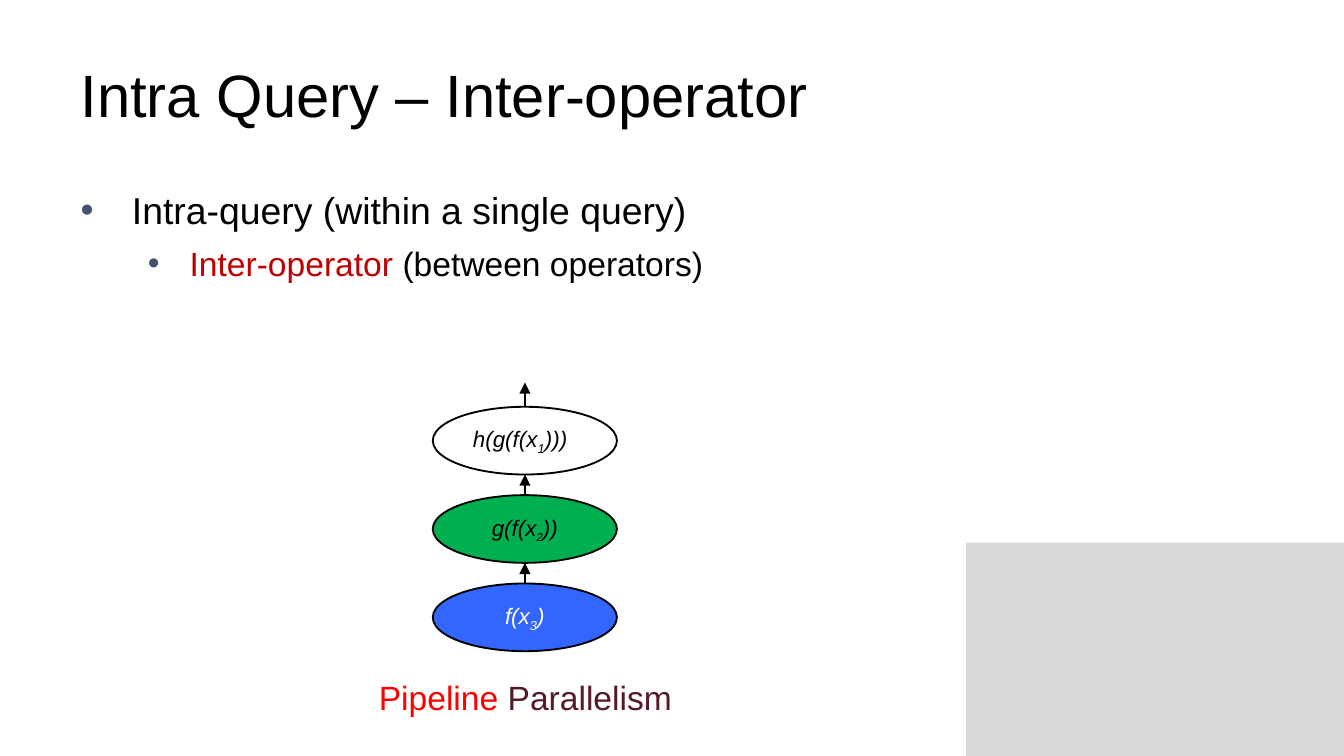
from lxml import etree
from pptx import Presentation
from pptx.dml.color import RGBColor
from pptx.enum import shapes, text
from pptx.oxml.ns import qn
from pptx.util import Cm, Pt

BLACK = RGBColor(0x00, 0x00, 0x00)
WHITE = RGBColor(0xFF, 0xFF, 0xFF)
GREY = RGBColor(0xD9, 0xD9, 0xD9)
DARK_RED = RGBColor(0xC0, 0x00, 0x00)
RED = RGBColor(0xFF, 0x00, 0x00)
MAROON = RGBColor(0x54, 0x1B, 0x27)
GREEN = RGBColor(0x00, 0xB0, 0x50)
BLUE = RGBColor(0x33, 0x66, 0xFF)
BULLET = RGBColor(0x44, 0x51, 0x6F)
FONT = "Arial"

TITLE = "Intra Query – Inter-operator"
BULLETS = [
    (0, 20, 0, 0.97, -0.97, [("Intra-query (within a single query)", BLACK)]),
    (1, 18, 3.6, 2.06, -0.79,
     [("Inter-operator", DARK_RED), (" (between operators)", BLACK)]),
]
OPERATORS = [
    ("h(g(f(x", "1", ")))", 12, WHITE, BLACK, text.PP_ALIGN.LEFT),
    ("g(f(x", "2", "))", 10.5, GREEN, BLACK, text.PP_ALIGN.CENTER),
    ("f(x", "3", ")", 12, BLUE, WHITE, text.PP_ALIGN.CENTER),
]
CAPTION = [("Pipeline", RED), (" Parallelism", MAROON)]

CENTER_X, TOP_Y = 9.92, 7.69
OVAL_W, OVAL_H, PITCH = 3.48, 1.28, 1.67
OUTPUT_ARROW = 0.46


def add_run(p, words, size, color, italic=False):
    r = p.add_run()
    r.text = words
    r.font.name = FONT
    r.font.size = Pt(size)
    r.font.color.rgb = color
    r.font.italic = italic
    return r


def place(sp, left, top, width, height):
    sp.left, sp.top, sp.width, sp.height = map(Cm, (left, top, width, height))


def add_bullet(p, left, indent):
    pPr = p._p.get_or_add_pPr()
    pPr.set("marL", str(Cm(left)))
    pPr.set("indent", str(Cm(indent)))
    clr = etree.SubElement(pPr, qn("a:buClr"))
    etree.SubElement(clr, qn("a:srgbClr")).set("val", str(BULLET))
    etree.SubElement(pPr, qn("a:buFont")).set("typeface", FONT)
    etree.SubElement(pPr, qn("a:buChar")).set("char", "•")


def add_arrow(s, x, start, end):
    c = s.shapes.add_connector(
        shapes.MSO_CONNECTOR.STRAIGHT, Cm(x), Cm(start), Cm(x), Cm(end))
    c.line.color.rgb = BLACK
    c.line.width = Pt(1)
    ln = c.line._get_or_add_ln()
    etree.SubElement(ln, qn("a:tailEnd")).set("type", "triangle")
    etree.SubElement(c._element.spPr, qn("a:effectLst"))


def add_operator(s, top, operator):
    head, index, rest, index_size, fill, color, align = operator
    sp = s.shapes.add_shape(
        shapes.MSO_SHAPE.OVAL, Cm(CENTER_X - OVAL_W / 2), Cm(top),
        Cm(OVAL_W), Cm(OVAL_H))
    sp.shadow.inherit = False
    sp.fill.solid()
    sp.fill.fore_color.rgb = fill
    sp.line.color.rgb = BLACK
    sp.line.width = Pt(1)
    sp.text_frame.vertical_anchor = text.MSO_ANCHOR.MIDDLE
    p = sp.text_frame.paragraphs[0]
    p.alignment = align
    add_run(p, head, 12, color, True)
    sub = add_run(p, index, index_size, color, True)
    sub._r.get_or_add_rPr().set("baseline", "-25000")
    add_run(p, rest, 12, color, True)


prs = Presentation()
prs.slide_width, prs.slide_height = Cm(25.4), Cm(14.29)
s = prs.slides.add_slide(prs.slide_layouts[1])

panel = s.shapes.add_shape(
    shapes.MSO_SHAPE.RECTANGLE, Cm(18.26), Cm(10.26), Cm(7.14), Cm(4.03))
panel.shadow.inherit = False
panel.fill.solid()
panel.fill.fore_color.rgb = GREY
panel.line.fill.background()
s.shapes._spTree.insert(2, panel._element)

title = s.shapes.title
place(title, 1.27, 0.58, 22.86, 2.39)
title.text_frame.vertical_anchor = text.MSO_ANCHOR.MIDDLE
p = title.text_frame.paragraphs[0]
p.alignment = text.PP_ALIGN.LEFT
add_run(p, TITLE, 32, BLACK)

body = s.placeholders[1]
place(body, 1.27, 3.33, 22.86, 9.42)
tf = body.text_frame
tf.auto_size = text.MSO_AUTO_SIZE.NONE
for i, (level, size, before, left, indent, runs) in enumerate(BULLETS):
    p = tf.add_paragraph() if i else tf.paragraphs[0]
    p.level = level
    p.line_spacing = 1.1
    p.space_before = Pt(before)
    add_bullet(p, left, indent)
    for words, color in runs:
        add_run(p, words, size, color)

caption = s.shapes.add_textbox(Cm(6.91), Cm(12.67), Cm(6.05), Cm(1.02))
caption.text_frame.word_wrap = False
caption.text_frame.auto_size = text.MSO_AUTO_SIZE.SHAPE_TO_FIT_TEXT
for words, color in CAPTION:
    add_run(caption.text_frame.paragraphs[0], words, 18, color)

for i, operator in enumerate(OPERATORS):
    top = TOP_Y + i * PITCH
    add_operator(s, top, operator)
    add_arrow(s, CENTER_X, top, top - (PITCH - OVAL_H if i else OUTPUT_ARROW))

prs.save("out.pptx")
